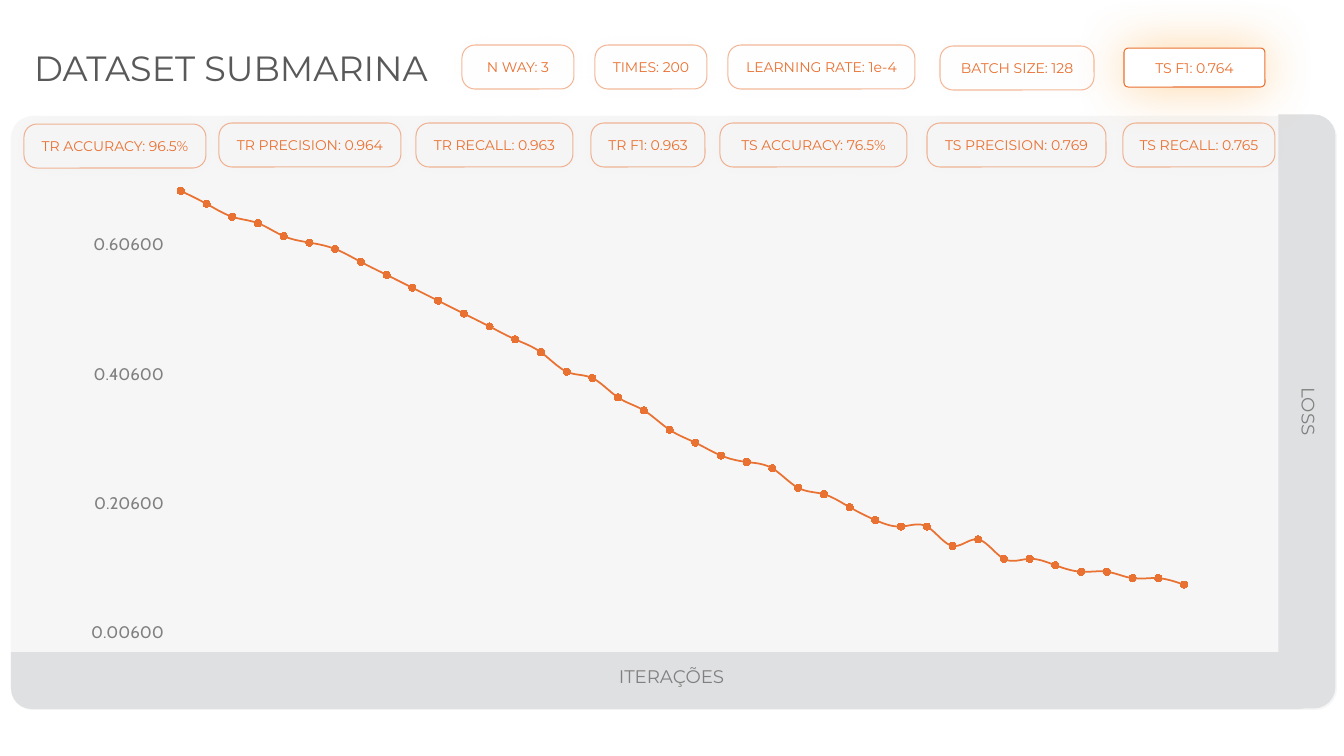
import dataclasses

import pptx
import pptx.chart.data
import pptx.dml.color
import pptx.enum.chart
import pptx.enum.dml
import pptx.enum.shapes
import pptx.enum.text
import pptx.oxml
import pptx.oxml.ns
import pptx.util

SHAPES = pptx.enum.shapes.MSO_SHAPE
ALIGN = pptx.enum.text.PP_ALIGN
ANCHOR = pptx.enum.text.MSO_ANCHOR
PX = 12192000 / 1344


@dataclasses.dataclass(frozen=True)
class Theme:
    font: str = "Montserrat"
    chart_font: str = "Cabin"
    title_color: str = "595959"
    muted: str = "808080"
    chart_text: str = "000000"
    accent: str = "E97132"
    marker: str = "F2AB96"
    panel: str = "F2F2F2"
    band: str = "DFE0E1"
    white: str = "FFFFFF"
    shadow: str = "B0BBC0"
    glow: str = "FFBE6C"
    title_size: int = 25
    label_size: int = 13
    axis_size: int = 12
    pill_size: int = 10


def px(*lengths):
    return [pptx.util.Emu(round(length * PX)) for length in lengths]


def rgb(color):
    return pptx.dml.color.RGBColor.from_string(color)


def set_alpha(fill_parent, percent):
    color = next(fill_parent.iter(pptx.oxml.ns.qn("a:srgbClr")))
    alpha = color.makeelement(pptx.oxml.ns.qn("a:alpha"), {"val": str(percent * 1000)})
    color.append(alpha)


class Page:
    def __init__(self, slide, theme):
        self.slide = slide
        self.theme = theme

    def put_text(self, box, text, size, color, align=ALIGN.CENTER, anchor=ANCHOR.MIDDLE):
        frame = box.text_frame
        frame.word_wrap = True
        frame.vertical_anchor = anchor
        para = frame.paragraphs[0]
        para.alignment = align
        span = para.add_run()
        span.text = text
        span.font.size = pptx.util.Pt(size)
        span.font.name = self.theme.font
        span.font.color.rgb = rgb(color)

    def title(self, text, *place):
        box = self.slide.shapes.title
        box.left, box.top, box.width, box.height = px(*place)
        self.put_text(box, text, self.theme.title_size, self.theme.title_color,
                      ALIGN.LEFT, ANCHOR.TOP)

    def label(self, text, size, color, *place):
        box = self.slide.shapes.add_textbox(*px(*place))
        self.put_text(box, text, size, color, anchor=ANCHOR.TOP)

    def shape(self, kind, corners, place, fill=None, line=None, rotation=0):
        box = self.slide.shapes.add_shape(kind, *px(*place))
        box.shadow.inherit = False
        box.rotation = rotation
        for index, corner in enumerate(corners):
            box.adjustments[index] = corner
        if fill:
            box.fill.solid()
            box.fill.fore_color.rgb = rgb(fill)
        else:
            box.fill.background()
        if line:
            box.line.width = pptx.util.Pt(0.75)
            box.line.color.rgb = rgb(line)
        else:
            box.line.fill.background()
        return box

    def soft_shadow(self, box, color, percent, blur):
        effects = box._element.spPr.find(pptx.oxml.ns.qn("a:effectLst"))
        effects.append(pptx.oxml.parse_xml(
            f'<a:outerShdw {pptx.oxml.ns.nsdecls("a")} blurRad="{pptx.util.Pt(blur)}"'
            f' algn="ctr" rotWithShape="0"><a:srgbClr val="{color}">'
            f'<a:alpha val="{percent * 1000}"/></a:srgbClr></a:outerShdw>'))

    def panel(self, *place):
        box = self.shape(SHAPES.ROUNDED_RECTANGLE, [0.037], place, self.theme.panel)
        set_alpha(box._element.spPr, 64)

    def band(self, corner, rotation, *place):
        return self.shape(SHAPES.ROUND_2_SAME_RECTANGLE, [corner, 0], place,
                          self.theme.band, rotation=rotation)

    def pill(self, text, left, top, width):
        theme = self.theme
        box = self.shape(SHAPES.ROUNDED_RECTANGLE, [0.295], (left, top, width, 44),
                         line=theme.accent)
        set_alpha(box._element.spPr, 50)
        self.soft_shadow(box, theme.shadow, 15, 20)
        self.put_text(box, text, theme.pill_size, theme.accent)

    def highlight(self, text, left, top, width):
        theme = self.theme
        box = self.shape(SHAPES.ROUNDED_RECTANGLE, [0.111], (left, top, width, 39),
                         theme.white, theme.accent)
        self.soft_shadow(box, theme.glow, 63, 37.4)
        self.label(text, theme.pill_size, theme.accent, left, top + 7, width, 27)

    def loss_chart(self, values, *place):
        theme = self.theme
        kinds = pptx.enum.chart
        data = pptx.chart.data.CategoryChartData()
        data.categories = [str(step) for step in range(1, len(values) + 1)]
        data.add_series("Series 1", values)
        chart = self.slide.shapes.add_chart(
            kinds.XL_CHART_TYPE.LINE_MARKERS, *px(*place), data).chart
        chart.has_legend = False
        chart.has_title = False
        chart.font.name = theme.chart_font
        chart.font.size = pptx.util.Pt(theme.pill_size)
        chart.font.color.rgb = rgb(theme.chart_text)

        chart.category_axis.visible = False
        chart.category_axis.crosses = kinds.XL_AXIS_CROSSES.MAXIMUM
        axis = chart.value_axis
        axis._element.find(pptx.oxml.ns.qn("c:axPos")).set("val", "r")
        axis.has_major_gridlines = False
        axis.minimum_scale, axis.maximum_scale, axis.major_unit = 0.006, 0.7, 0.2
        axis.major_tick_mark = kinds.XL_TICK_MARK.NONE
        axis.format.line.fill.background()
        axis.tick_labels.number_format = "#,##0.00000"
        axis.tick_labels.number_format_is_linked = False
        axis.tick_labels.font.name = theme.chart_font
        axis.tick_labels.font.size = pptx.util.Pt(theme.axis_size)
        axis.tick_labels.font.color.rgb = rgb(theme.muted)

        chart.plots[0].vary_by_categories = False
        loss = chart.plots[0].series[0]
        loss.smooth = True
        loss.format.line.width = pptx.util.Pt(1.25)
        loss.format.line.color.rgb = rgb(theme.accent)
        loss.marker.style = kinds.XL_MARKER_STYLE.CIRCLE
        loss.marker.size = 5
        loss.marker.format.fill.solid()
        loss.marker.format.fill.fore_color.rgb = rgb(theme.marker)
        loss.marker.format.line.color.rgb = rgb(theme.accent)


LOSSES = [0.69, 0.67, 0.65, 0.64, 0.62, 0.61, 0.6, 0.58, 0.56, 0.54,
          0.52, 0.5, 0.48, 0.46, 0.44, 0.41, 0.4, 0.37, 0.35, 0.32,
          0.3, 0.28, 0.27, 0.26, 0.23, 0.22, 0.2, 0.18, 0.17, 0.17,
          0.14, 0.15, 0.12, 0.12, 0.11, 0.1, 0.1, 0.09, 0.09, 0.08]
PILLS = [
    ("TS RECALL: 0.765", 1123, 123, 152),
    ("TS PRECISION: 0.769", 927, 123, 179),
    ("TS ACCURACY: 76.5%", 720, 123, 187),
    ("TR F1: 0.963", 591, 123, 114),
    ("TR RECALL: 0.963", 416, 123, 157),
    ("TR PRECISION: 0.964", 219, 123, 182),
    ("TR ACCURACY: 96.5%", 24, 124, 182),
    ("N WAY: 3", 462, 45, 112),
    ("TIMES: 200", 595, 45, 112),
    ("LEARNING RATE: 1e-4", 728, 45, 187),
    ("BATCH SIZE: 128", 940, 46, 154),
]


def main():
    deck = pptx.Presentation()
    deck.slide_width, deck.slide_height = px(1344, 756)
    theme = Theme()
    page = Page(deck.slides.add_slide(deck.slide_layouts[5]), theme)
    page.title("DATASET SUBMARINA", 24, 41, 581, 52)
    page.panel(11, 116, 1326, 594)
    page.loss_chart(LOSSES, 68, 175, 1152, 477)
    page.band(0.36, 180, 11, 652, 1308, 57)
    side = page.band(0.38, 90, 1010, 383, 594, 57)
    side.text_frame.margin_bottom = pptx.util.Inches(0.15)
    page.put_text(side, "LOSS", theme.label_size, theme.muted)
    page.label("ITERAÇÕES", theme.label_size, theme.muted, 24, 660, 1295, 32)
    for pill in PILLS:
        page.pill(*pill)
    page.highlight("TS F1: 0.764", 1124, 48, 141)
    deck.save("out.pptx")


if __name__ == "__main__":
    main()
